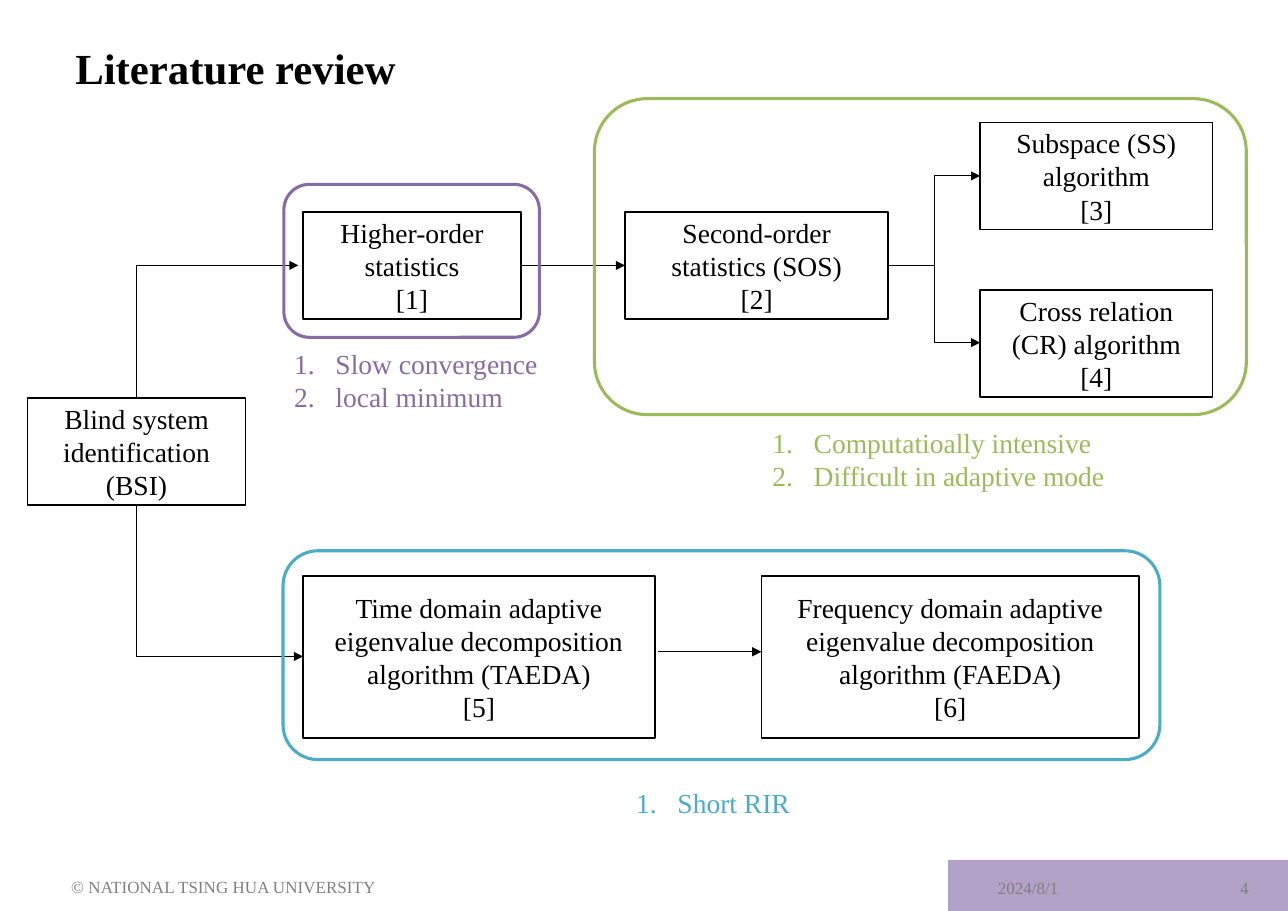
from pptx import Presentation
from pptx.dml.color import RGBColor
from pptx.enum.shapes import MSO_CONNECTOR as Link, MSO_SHAPE as Shape
from pptx.enum.text import MSO_ANCHOR as Anchor, MSO_AUTO_SIZE as AutoSize, PP_ALIGN as Align
from pptx.oxml.ns import qn
from pptx.util import Pt
from lxml.etree import SubElement

BLACK = RGBColor(0x00, 0x00, 0x00)
GREY = RGBColor(0x80, 0x80, 0x80)
LILAC = RGBColor(0xB3, 0xA2, 0xC7)
PURPLE = RGBColor(0x86, 0x6C, 0xA6)
GREEN = RGBColor(0x9B, 0xBB, 0x59)
BLUE = RGBColor(0x4B, 0xAC, 0xC6)


def write_text(frame, lines, *, size=18, color=BLACK, bold=False, align=Align.LEFT,
               anchor=Anchor.MIDDLE, spacing=None, numbered=False):
    """Put one paragraph per line into the frame."""
    frame.word_wrap = True
    frame.auto_size = AutoSize.NONE
    frame.vertical_anchor = anchor
    for index, line in enumerate(lines):
        paragraph = frame.add_paragraph() if index else frame.paragraphs[0]
        if numbered:
            props = paragraph._p.get_or_add_pPr()
            props.set("marL", str(Pt(27)))
            props.set("indent", str(-Pt(27)))
            SubElement(props, qn("a:buAutoNum"), type="arabicPeriod")
        paragraph.alignment = align
        paragraph.space_before = Pt(0)
        if spacing:
            paragraph.line_spacing = Pt(spacing)
        run = paragraph.add_run()
        run.text = line
        run.font.name = "Times New Roman"
        run.font.size = Pt(size)
        run.font.bold = bold
        run.font.color.rgb = color


class ReviewSlide:
    def __init__(self, presentation):
        self.slide = presentation.slides.add_slide(presentation.slide_layouts.get_by_name("Comparison"))
        self.shapes = self.slide.shapes
        self.bodies = list(self.slide.placeholders)[1:]

    def place(self, holder, area):
        holder.left, holder.top, holder.width, holder.height = map(Pt, area)

    def title(self, text, area):
        self.place(self.shapes.title, area)
        write_text(self.shapes.title.text_frame, [text], size=28, bold=True, spacing=36.9)

    def drawbacks(self, lines, area, color):
        holder = self.bodies.pop(0)
        self.place(holder, area)
        write_text(holder.text_frame, lines, color=color, anchor=Anchor.TOP, numbered=True)

    def drop_unused(self):
        for holder in self.bodies:
            holder.element.getparent().remove(holder.element)

    def outline(self, kind, area, color, width):
        shape = self.shapes.add_shape(kind, *map(Pt, area))
        shape.shadow.inherit = False
        shape.fill.background()
        shape.line.color.rgb = color
        shape.line.width = Pt(width)
        return shape

    def method(self, lines, *area):
        box = self.outline(Shape.RECTANGLE, area, BLACK, 1)
        write_text(box.text_frame, lines, align=Align.CENTER)

    def group(self, color, *area):
        self.outline(Shape.ROUNDED_RECTANGLE, area, color, 2)

    def band(self, color, *area):
        band = self.outline(Shape.RECTANGLE, area, color, 1)
        band.fill.solid()
        band.fill.fore_color.rgb = color
        band.line.fill.background()

    def footer(self, text, *area, align=Align.LEFT):
        box = self.shapes.add_textbox(*map(Pt, area))
        write_text(box.text_frame, [text], size=11.1, color=GREY, align=align)

    def arrow(self, *ends, bend=None):
        """Draw an arrow; bend is the share of the width before an elbow turns."""
        kind = Link.STRAIGHT if bend is None else Link.ELBOW
        arrow = self.shapes.add_connector(kind, *map(Pt, ends))
        arrow.line.color.rgb = BLACK
        arrow.line.width = Pt(0.75)
        props = arrow.element.spPr
        SubElement(props.find(qn("a:ln")), qn("a:tailEnd"), type="triangle")
        SubElement(props, qn("a:effectLst"))
        if bend is not None:
            guides = props.find(qn("a:prstGeom")).get_or_add_avLst()
            SubElement(guides, qn("a:gd"), name="adj1", fmla=f"val {round(bend * 100000)}")


def main():
    presentation = Presentation()
    presentation.slide_width, presentation.slide_height = Pt(841.68), Pt(595.44)
    review = ReviewSlide(presentation)

    review.band(LILAC, 619.68, 562, 222, 33.44)
    review.title("Literature review", (42, 17.5, 561, 49.5))
    review.footer("2024/8/1", 645, 566.5, 99.5, 28)
    review.footer("© NATIONAL TSING HUA UNIVERSITY", 39.5, 565.5, 230, 28)
    review.footer("4", 757.5, 566.5, 65.5, 28, align=Align.RIGHT)

    low, high = 70, 106
    review.method(["Blind system identification (BSI)"], 18, 260, 142.5, low)
    review.method(["Higher-order statistics", "[1]"], 198, 138.5, 142.5, low)
    review.method(["Second-order statistics (SOS)", "[2]"], 408.5, 138.5, 172, low)
    review.method(["Subspace (SS) algorithm", "[3]"], 640.5, 80, 152, low)
    review.method(["Cross relation (CR) algorithm", "[4]"], 640.5, 189.5, 152, low)
    for domain, name, number, left, width in (("Time", "TAEDA", 5, 198, 230),
                                              ("Frequency", "FAEDA", 6, 497.5, 247)):
        review.method([f"{domain} domain adaptive eigenvalue decomposition",
                       f"algorithm ({name})", f"[{number}]"], left, 376.5, width, high)

    review.arrow(89, 260, 195, 173.5, bend=0)
    review.arrow(89, 330, 198, 429, bend=0)
    review.arrow(340.5, 173.5, 408.5, 173.5)
    for algorithm_middle in (115, 224):
        review.arrow(580.5, 173.5, 640.5, algorithm_middle, bend=0.5)
    review.arrow(430, 426, 497.5, 426)

    review.group(PURPLE, 185.5, 120.5, 167, 100)
    review.group(GREEN, 388.5, 64.5, 426, 206.5)
    review.group(BLUE, 185, 360, 573, 136.5)
    review.drawbacks(["Slow convergence", "local minimum"], (185, 223, 256, 51), PURPLE)
    review.drawbacks(["Computatioally intensive", "Difficult in adaptive mode"],
                     (497.5, 274.5, 296, 51), GREEN)
    review.drawbacks(["Short RIR"], (408.5, 510, 134, 29), BLUE)
    review.drop_unused()

    presentation.save("out.pptx")


if __name__ == "__main__":
    main()
